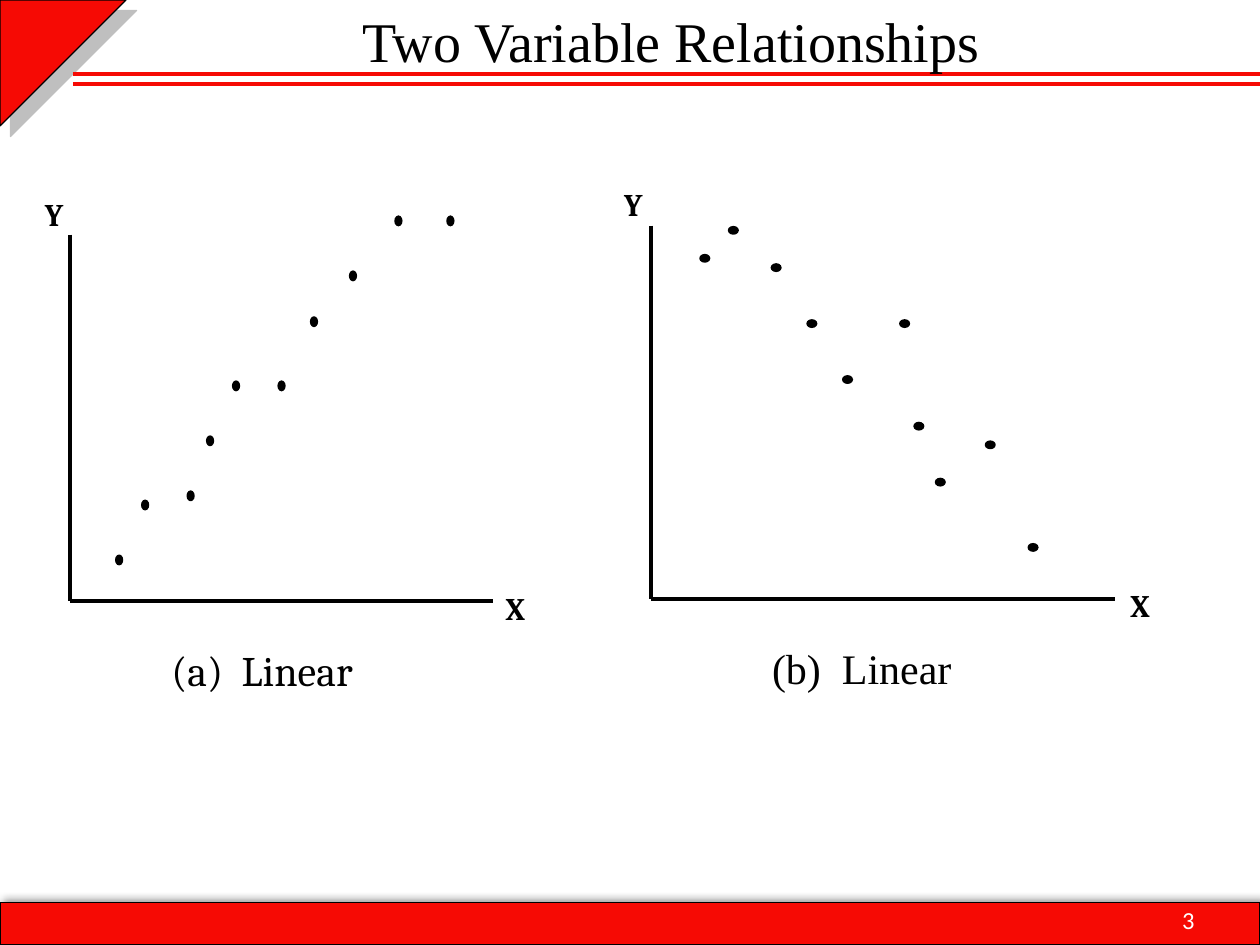
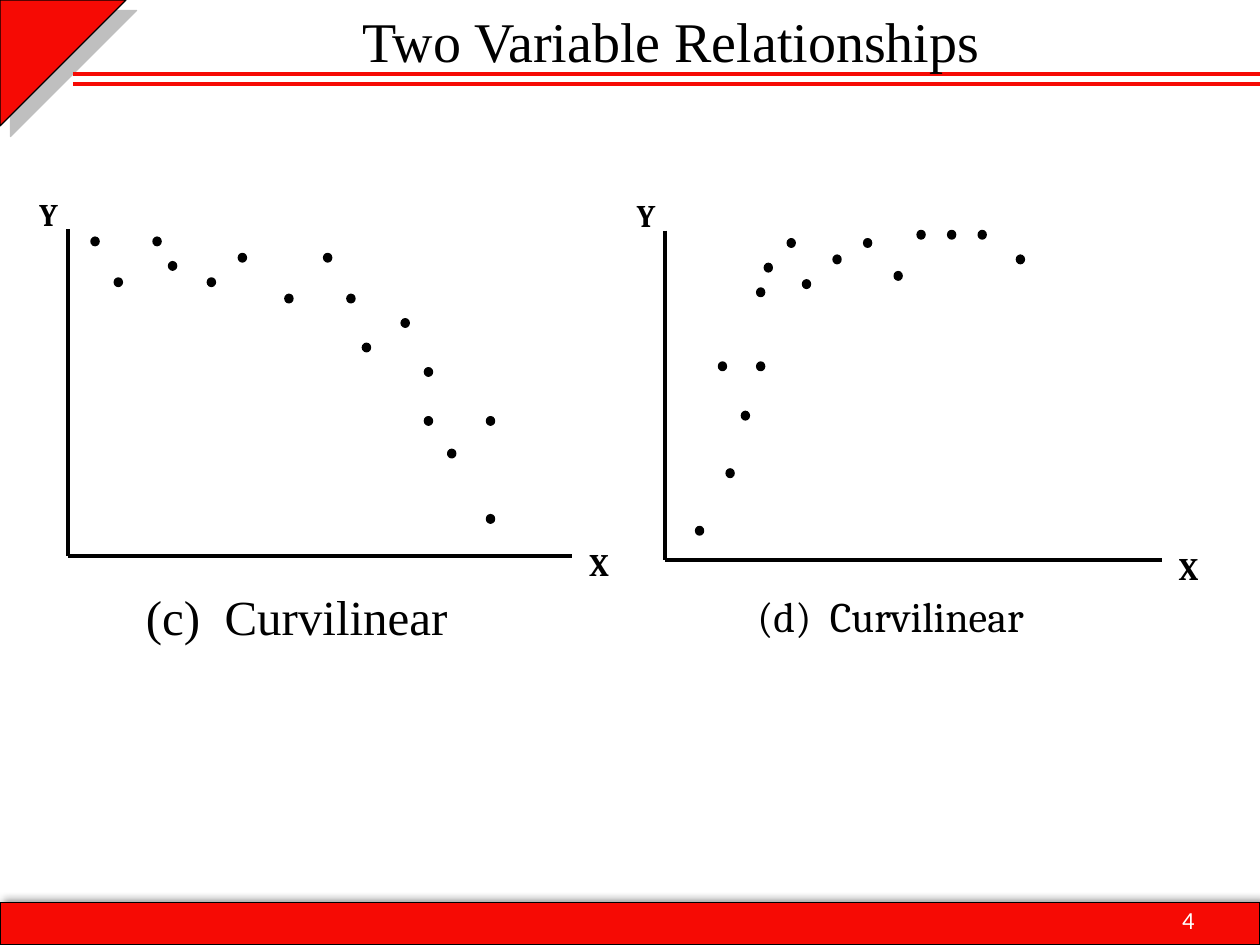
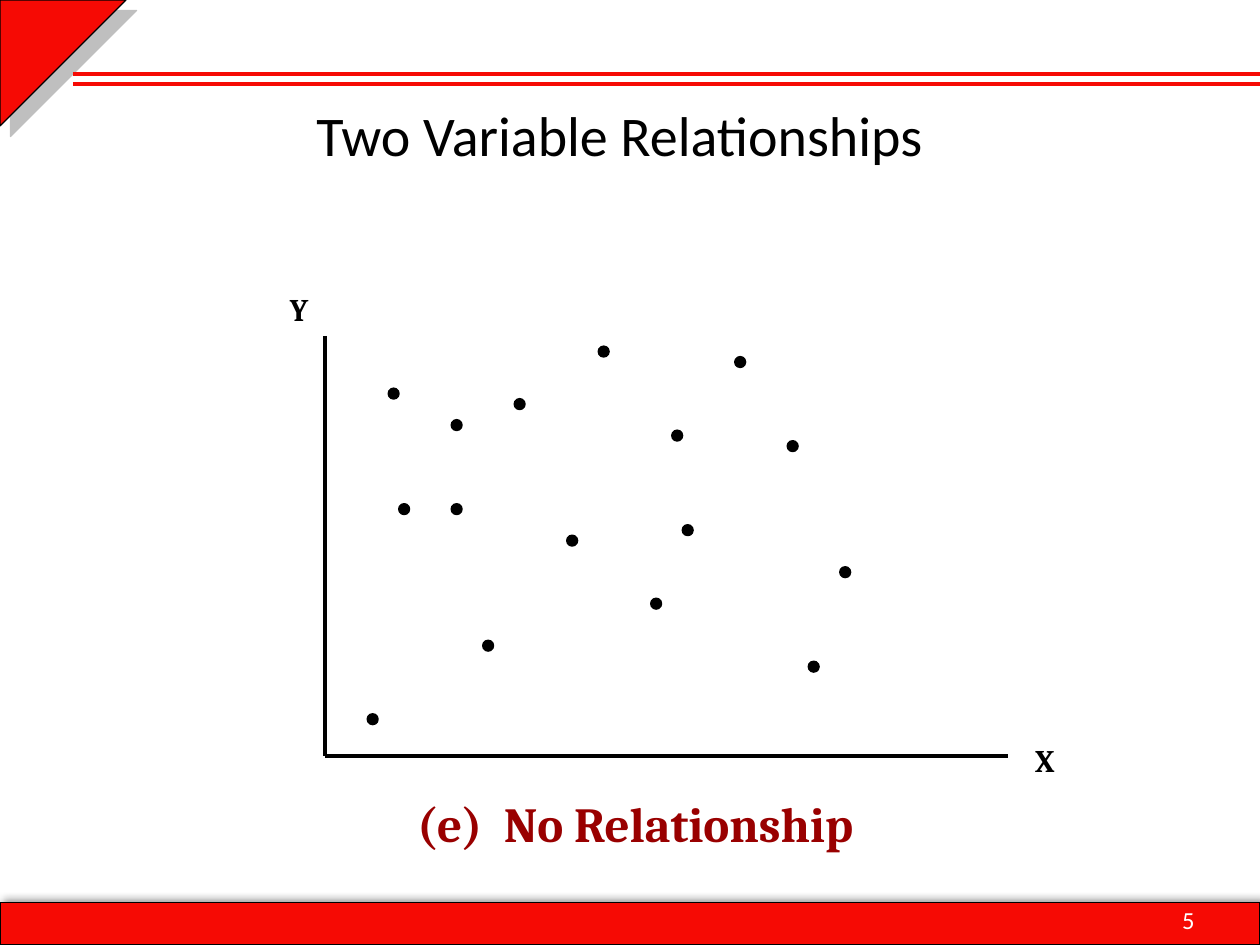
from dataclasses import dataclass

from lxml import etree
from pptx import Presentation
from pptx.dml.color import RGBColor
from pptx.enum.shapes import MSO_CONNECTOR, MSO_SHAPE
from pptx.enum.text import MSO_ANCHOR, PP_ALIGN
from pptx.oxml.ns import qn
from pptx.util import Cm, Pt

RED = RGBColor(0xF6, 0x0A, 0x04)
DARK_RED = RGBColor(0x99, 0x00, 0x00)
BLACK = RGBColor(0x00, 0x00, 0x00)
GRAY = RGBColor(0x80, 0x80, 0x80)
WHITE = RGBColor(0xFF, 0xFF, 0xFF)

CALIBRI, CAMBRIA, TIMES = "Calibri", "Cambria", "Times New Roman"
CENTER, RIGHT = PP_ALIGN.CENTER, PP_ALIGN.RIGHT
TOP, MIDDLE = MSO_ANCHOR.TOP, MSO_ANCHOR.MIDDLE
STRAIGHT = MSO_CONNECTOR.STRAIGHT
ELLIPSE, RECTANGLE = MSO_SHAPE.OVAL, MSO_SHAPE.RECTANGLE
TRIANGLE = MSO_SHAPE.RIGHT_TRIANGLE

SLIDE_WIDTH, SLIDE_HEIGHT = 25.4, 19.05
COLUMNS, ROWS = 65, 40  # grid cells along the axes of every plot
TITLE = "Two Variable Relationships"


@dataclass
class Plot:
    """A scatter plot; dots are (column, row) cells counted from the origin."""
    caption: str
    origin: tuple
    size: tuple
    dots: list
    font: str = CAMBRIA
    caption_size: int = 24
    caption_color: RGBColor = BLACK
    caption_bold: bool = False
    caption_drop: int = 3
    dots_turned: bool = False


class Deck:
    def __init__(self):
        self.presentation = Presentation()
        self.presentation.slide_width = Cm(SLIDE_WIDTH)
        self.presentation.slide_height = Cm(SLIDE_HEIGHT)
        self.slide = None

    def add_slide(self, number, title_font=TIMES, title_left=2.74, title_top=0):
        self.slide = self.presentation.slides.add_slide(self.presentation.slide_layouts[6])
        corner = self.shape(TRIANGLE, 0, 0, 2.54, 2.54, RED, 0.75)
        corner.rotation = 90
        self.cast_shadow(corner, GRAY, opacity=50, blur=0, distance=8.5, angle=45)
        for height in (1.7, 1.49):
            self.line(1.47, height, SLIDE_WIDTH, height, RED)
        band = self.shape(RECTANGLE, 0, 18.2, SLIDE_WIDTH, 0.85, RED, 0.75)
        self.cast_shadow(band, BLACK, opacity=40, blur=4, distance=3, angle=315)
        self.text(str(number), 22.86, 18.03, 1.22, 1.02, CALIBRI, 14, WHITE,
                  alignment=RIGHT, anchor=MIDDLE)
        self.text(TITLE, title_left, title_top, 21.59, 3.18, title_font, 32)

    def shape(self, kind, left, top, width, height, fill, line_width):
        shape = self.slide.shapes.add_shape(kind, Cm(left), Cm(top), Cm(width), Cm(height))
        shape.shadow.inherit = False
        shape.fill.solid()
        shape.fill.fore_color.rgb = fill
        shape.line.color.rgb = BLACK
        shape.line.width = Pt(line_width)
        return shape

    def cast_shadow(self, shape, color, opacity, blur, distance, angle):
        effects = shape._element.spPr.find(qn("a:effectLst"))
        shadow = etree.SubElement(
            effects, qn("a:outerShdw"), blurRad=str(Pt(blur)), dist=str(Pt(distance)),
            dir=str(angle * 60000), algn="ctr", rotWithShape="0")
        shade = etree.SubElement(shadow, qn("a:srgbClr"), val=str(color))
        etree.SubElement(shade, qn("a:alpha"), val=str(opacity * 1000))

    def line(self, start_x, start_y, end_x, end_y, color=BLACK):
        line = self.slide.shapes.add_connector(
            STRAIGHT, Cm(start_x), Cm(start_y), Cm(end_x), Cm(end_y))
        line.line.color.rgb = color
        line.line.width = Pt(2.25)
        etree.SubElement(line._element.spPr, qn("a:effectLst"))

    def text(self, content, left, top, width, height, font, size, color=BLACK,
             bold=False, alignment=CENTER, anchor=TOP):
        box = self.slide.shapes.add_textbox(Cm(left), Cm(top), Cm(width), Cm(height))
        frame = box.text_frame
        frame.word_wrap = True
        frame.margin_left = frame.margin_right = 0
        frame.vertical_anchor = anchor
        paragraph = frame.paragraphs[0]
        paragraph.text = content
        paragraph.alignment = alignment
        paragraph.font.name = font
        paragraph.font.size = Pt(size)
        paragraph.font.bold = bold
        paragraph.font.color.rgb = color

    def plot(self, plot):
        origin_x, origin_y = plot.origin
        width, height = plot.size
        cell_width, cell_height = width / COLUMNS, height / ROWS

        self.line(origin_x, origin_y - height, origin_x, origin_y)
        self.line(origin_x, origin_y, origin_x + width, origin_y)
        for name, column, row in (("X", COLUMNS, 2), ("Y", -6, 45)):
            self.text(name, origin_x + column * cell_width, origin_y - row * cell_height,
                      7 * cell_width, 6 * cell_height, CAMBRIA, 18, bold=True)

        dot_width, dot_height = cell_width, cell_height
        if plot.dots_turned:
            dot_width, dot_height = cell_height, cell_width
        for column, row in plot.dots:
            center_x = origin_x + (column + 0.5) * cell_width
            center_y = origin_y - (row - 0.5) * cell_height
            self.shape(ELLIPSE, center_x - dot_width / 2, center_y - dot_height / 2,
                       dot_width, dot_height, BLACK, 1)

        self.text(plot.caption, origin_x + 3 * cell_width,
                  origin_y + plot.caption_drop * cell_height, 53 * cell_width, 1.3,
                  plot.font, plot.caption_size, plot.caption_color, plot.caption_bold)


RISING = Plot(
    "(a)  Linear", (1.42, 12.12), (8.51, 7.39),
    [(7, 5), (11, 11), (18, 12), (21, 18), (25, 24), (32, 24), (37, 31), (43, 36),
     (50, 42), (58, 42)],
    caption_drop=4)
FALLING = Plot(
    "(b)  Linear", (13.13, 12.07), (9.35, 7.52),
    [(7, 37), (11, 40), (17, 36), (22, 30), (27, 24), (35, 30), (37, 19), (40, 13),
     (47, 17), (53, 6)],
    font=TIMES, caption_drop=4, dots_turned=True)
CURVED_DOWN = Plot(
    "(c)  Curvilinear", (1.37, 11.2), (10.16, 6.58),
    [(3, 39), (6, 34), (11, 39), (13, 36), (18, 34), (22, 37), (28, 32), (33, 37),
     (36, 32), (38, 26), (43, 29), (46, 23), (46, 17), (49, 13), (54, 17), (54, 5)],
    font=TIMES, caption_size=28)
LEVELLING_OFF = Plot(
    "(d)  Curvilinear", (13.41, 11.28), (10.01, 6.63),
    [(4, 4), (7, 24), (8, 11), (10, 18), (12, 24), (12, 33), (13, 36), (16, 39),
     (18, 34), (22, 37), (26, 39), (30, 35), (33, 40), (37, 40), (41, 40), (46, 37)])
SCATTERED = Plot(
    "(e)  No Relationship", (6.56, 15.24), (13.76, 8.47),
    [(4, 4), (6, 35), (7, 24), (12, 24), (12, 32), (15, 11), (18, 34), (23, 21),
     (26, 39), (31, 15), (33, 31), (34, 22), (39, 38), (44, 30), (46, 9), (49, 18)],
    caption_size=28, caption_color=DARK_RED, caption_bold=True)


def main():
    deck = Deck()
    deck.add_slide(3)
    deck.plot(RISING)
    deck.plot(FALLING)
    deck.add_slide(4)
    deck.plot(CURVED_DOWN)
    deck.plot(LEVELLING_OFF)
    deck.add_slide(5, title_font=CALIBRI, title_left=1.7, title_top=1.91)
    deck.plot(SCATTERED)
    deck.presentation.save("out.pptx")


if __name__ == "__main__":
    main()
